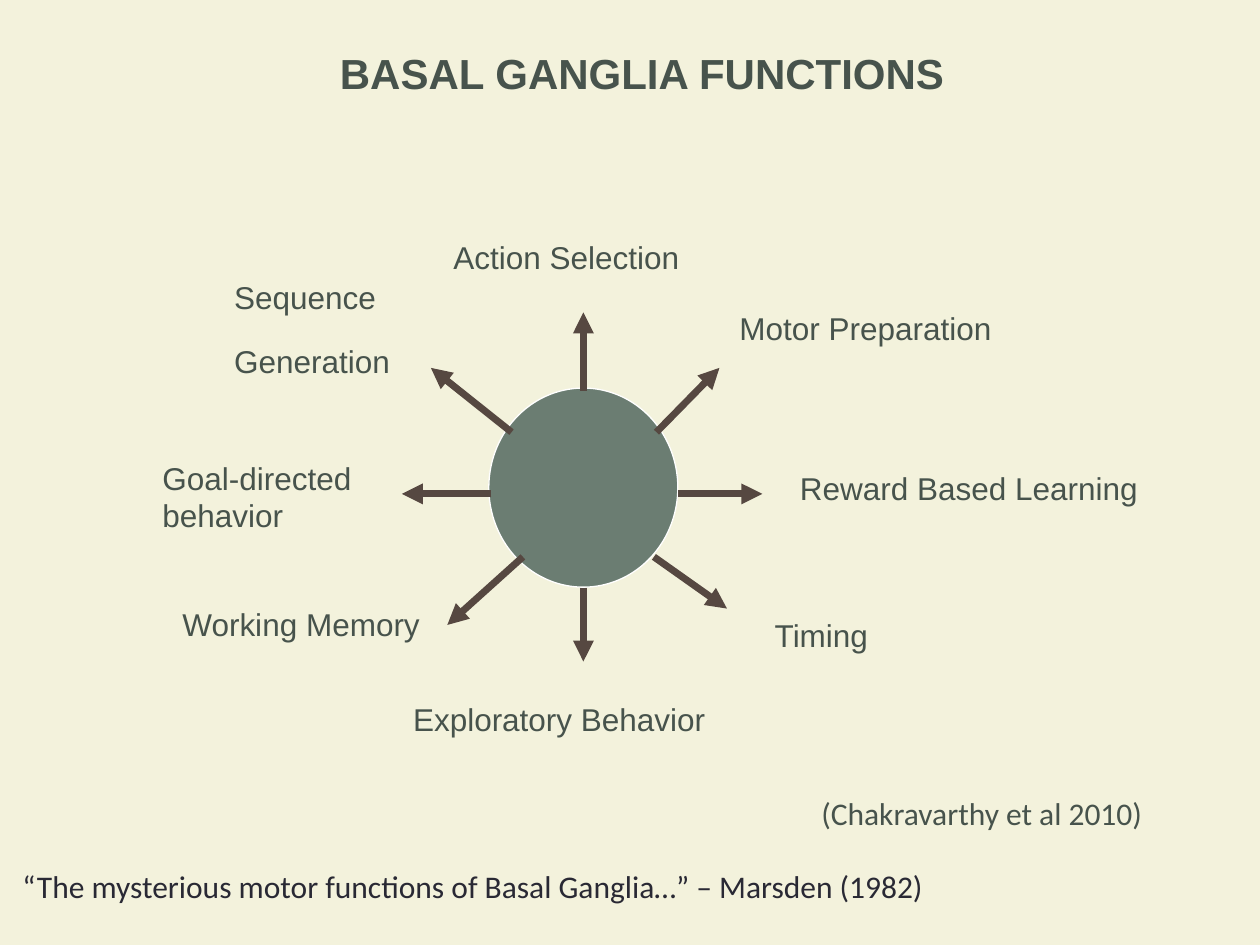
from typing import NamedTuple

from lxml.etree import SubElement
from pptx import Presentation
from pptx.dml.color import RGBColor
from pptx.enum.shapes import MSO_CONNECTOR as Link, MSO_SHAPE as Shape
from pptx.enum.text import MSO_ANCHOR as Anchor, PP_ALIGN as Align
from pptx.oxml.ns import qn
from pptx.util import Inches, Pt

CREAM = RGBColor(0xF3, 0xF2, 0xDC)
GREEN = RGBColor(0x47, 0x53, 0x4C)
SAGE = RGBColor(0x6B, 0x7D, 0x72)
BROWN = RGBColor(0x56, 0x48, 0x41)
NAVY = RGBColor(0x29, 0x29, 0x34)
WHITE = RGBColor(0xFF, 0xFF, 0xFF)


class Box(NamedTuple):
    left: float
    top: float
    width: float
    height: float


class Label(NamedTuple):
    text: str
    box: Box


class Arrow(NamedTuple):
    x1: float
    y1: float
    x2: float
    y2: float


LABELS = [
    Label("Motor Preparation", Box(5.77, 2.4, 2.92, 0.41)),
    Label("Action Selection", Box(3.5, 1.84, 2.75, 0.41)),
    Label("Goal-directed behavior", Box(1.19, 3.59, 2.42, 0.71)),
    Label("Reward Based Learning", Box(6.25, 3.67, 4, 0.41)),
    Label("Timing", Box(6.05, 4.84, 1.42, 0.41)),
    Label("Exploratory Behavior", Box(3.18, 5.51, 3.33, 0.41)),
    Label("Working Memory", Box(1.35, 4.75, 3, 0.41)),
    Label("Sequence\nGeneration", Box(1.76, 2.16, 1.92, 0.92)),
]

ARROWS = [
    Arrow(4.63, 3.1, 4.63, 2.48),
    Arrow(4.06, 3.43, 3.42, 2.92),
    Arrow(3.9, 3.92, 3.19, 3.92),
    Arrow(4.15, 4.42, 3.55, 4.96),
    Arrow(5.21, 3.43, 5.71, 2.92),
    Arrow(5.38, 3.92, 6.05, 3.92),
    Arrow(4.63, 4.67, 4.63, 5.25),
    Arrow(5.19, 4.42, 5.77, 4.83),
]


def add_text(slide, text: str, box: Box, *, font: str = "Arial",
             size: int = 18, color: RGBColor = GREEN, bold: bool = False,
             align: Align = Align.LEFT, anchor: Anchor = Anchor.TOP,
             gap: int = 15) -> None:
    frame = slide.shapes.add_textbox(*map(Inches, box)).text_frame
    frame.word_wrap = True
    frame.vertical_anchor = anchor
    frame.text = text
    for index, para in enumerate(frame.paragraphs):
        para.alignment = align
        if index:
            para.space_before = Pt(gap)
        for run in para.runs:
            run.font.name = font
            run.font.size = Pt(size)
            run.font.bold = bold
            run.font.color.rgb = color


def add_hub(slide, box: Box) -> None:
    hub = slide.shapes.add_shape(Shape.OVAL, *map(Inches, box))
    hub.shadow.inherit = False
    hub.fill.solid()
    hub.fill.fore_color.rgb = SAGE
    hub.line.color.rgb = WHITE
    hub.line.width = Pt(0.75)


def add_arrow(slide, arrow: Arrow) -> None:
    link = slide.shapes.add_connector(Link.STRAIGHT, *map(Inches, arrow))
    link.line.color.rgb = BROWN
    link.line.width = Pt(4)
    props = link._element.spPr
    SubElement(props.find(qn("a:ln")), qn("a:tailEnd"), type="triangle")
    SubElement(props, qn("a:effectLst"))


def main() -> None:
    deck = Presentation()
    deck.slide_width, deck.slide_height = Inches(10), Inches(7.5)
    slide = deck.slides.add_slide(deck.slide_layouts[6])
    slide.background.fill.solid()
    slide.background.fill.fore_color.rgb = CREAM

    add_text(slide, "BASAL GANGLIA FUNCTIONS", Box(0.37, 0.33, 9.45, 0.5),
             size=24, bold=True, align=Align.CENTER, anchor=Anchor.MIDDLE)
    add_hub(slide, Box(3.88, 3.08, 1.5, 1.58))
    for label in LABELS:
        add_text(slide, label.text, label.box)
    for arrow in ARROWS:
        add_arrow(slide, arrow)
    add_text(slide, "(Chakravarthy et al 2010)", Box(6.42, 6.25, 2.78, 0.4),
             font="Calibri")
    add_text(slide, "“The mysterious motor functions of Basal Ganglia…” – "
             "Marsden (1982)", Box(0.08, 6.83, 9.98, 0.51),
             font="Calibri", color=NAVY)
    deck.save("out.pptx")


if __name__ == "__main__":
    main()
